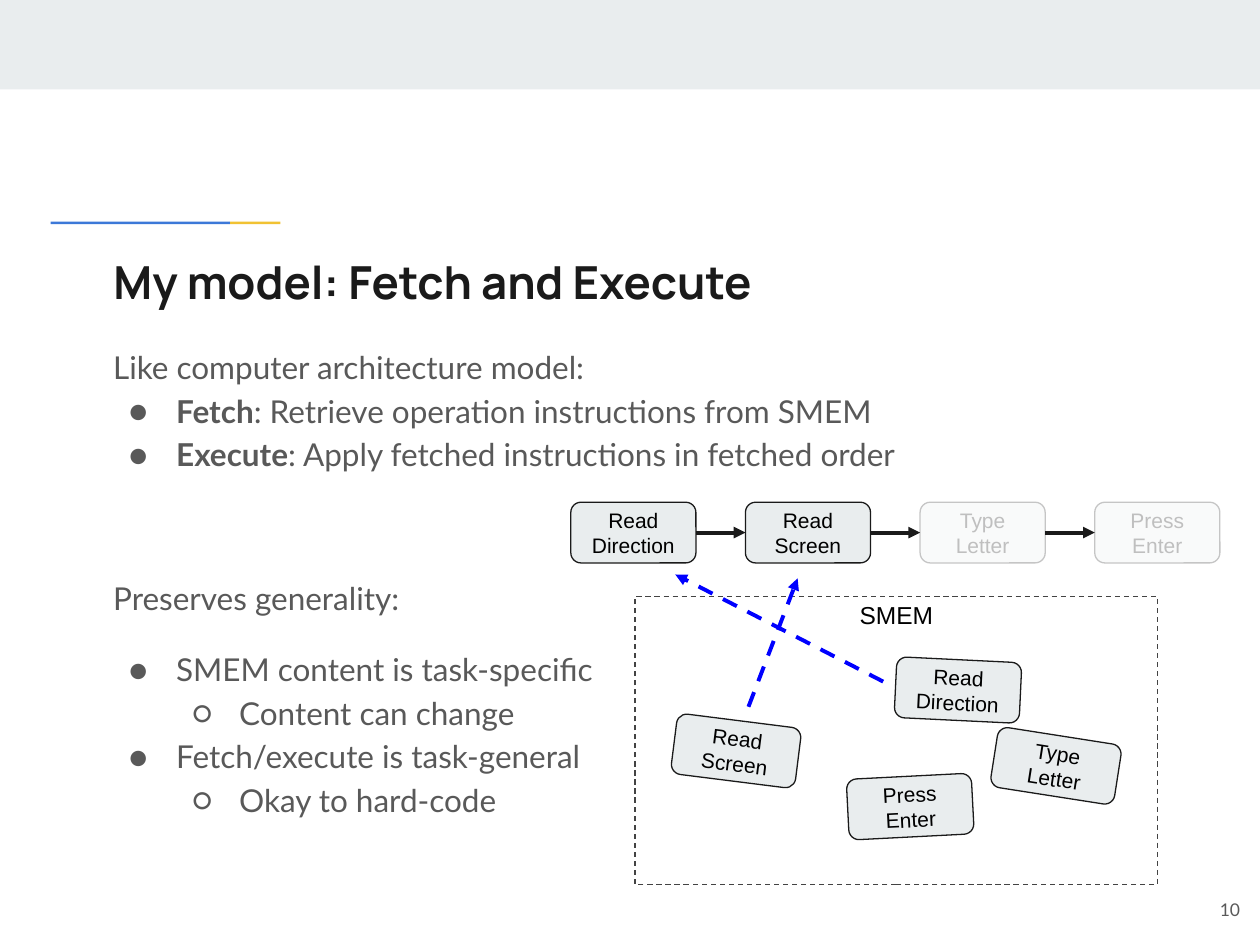
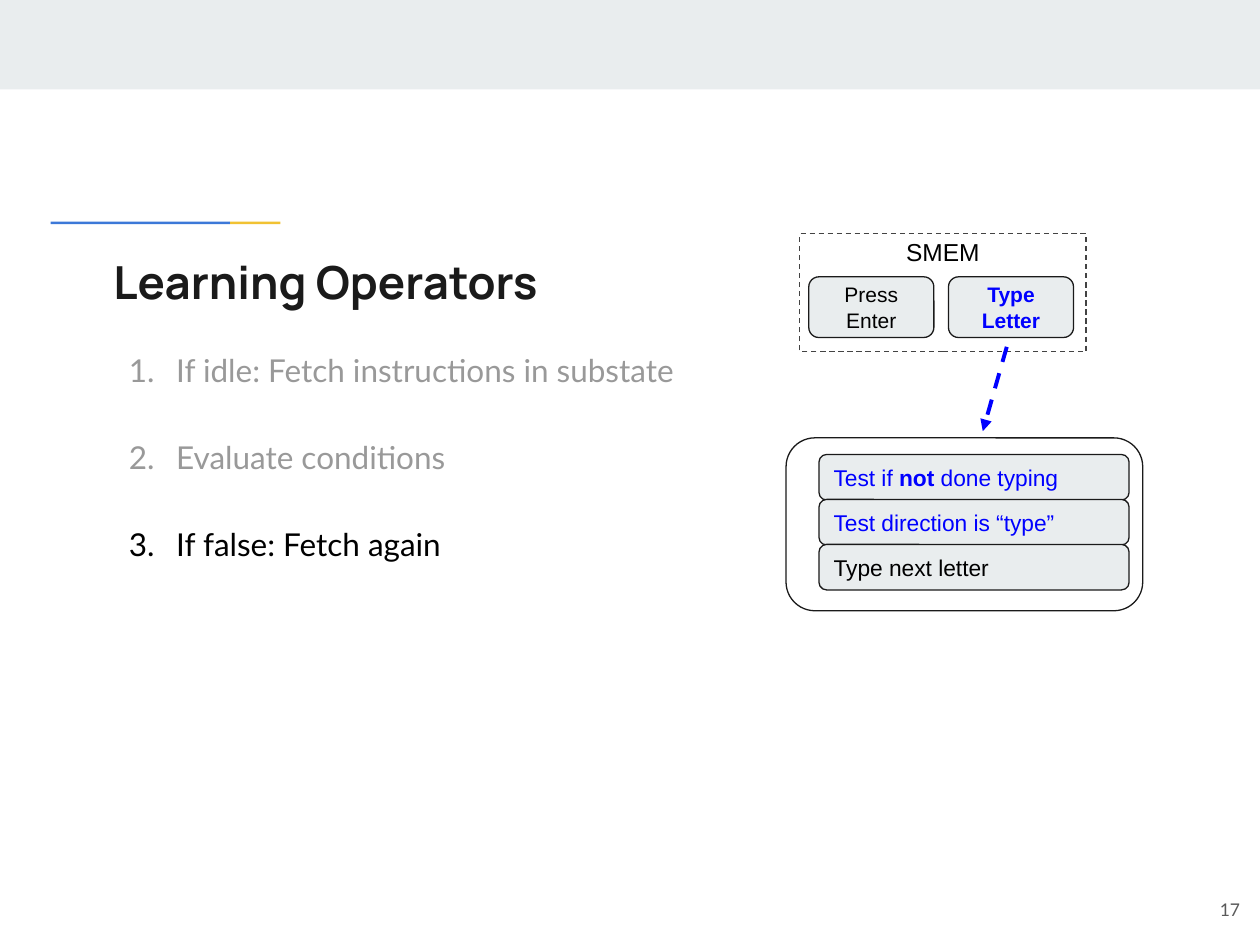
"""Build two slides on fetching and executing instructions from semantic memory."""
import pptx
import pptx.dml.color
import pptx.enum.dml
import pptx.enum.shapes
import pptx.enum.text
import pptx.oxml
import pptx.oxml.ns
import pptx.util

Pt = pptx.util.Pt
SHAPES = pptx.enum.shapes.MSO_SHAPE
ALIGN = pptx.enum.text.PP_ALIGN
ANCHOR = pptx.enum.text.MSO_ANCHOR
DASH = pptx.enum.dml.MSO_LINE.DASH

COLORS = {
    "band": "E9EDEE", "blue": "3C78D8", "yellow": "F1C232", "ink": "1A1A1A",
    "body": "595959", "faded": "999999", "frame": "434343", "active": "0000FF",
    "black": "000000", "white": "FFFFFF",
}
CARD_SIZE = (71.5, 34.7)
TITLE_ONLY = 5


def set_values(target, values):
    for name, value in values.items():
        setattr(target, name, value)


def rgb(color):
    return pptx.dml.color.RGBColor.from_string(COLORS[color])


def add_xml(parent, tag, **attributes):
    child = pptx.oxml.parse_xml(f"<a:{tag} {pptx.oxml.ns.nsdecls('a')}/>")
    for name, value in attributes.items():
        child.set(name, str(value))
    parent.append(child)
    return child


def add_bullet(para, bullet, color, level):
    properties = para._p.get_or_add_pPr()
    properties.set("marL", str(Pt(36 * (level + 1))))
    properties.set("indent", str(Pt(-27)))
    add_xml(add_xml(properties, "buClr"), "srgbClr", val=COLORS[color])
    if bullet == "number":
        add_xml(properties, "buFont", typeface="Lato")
        add_xml(properties, "buAutoNum", type="arabicPeriod")
    else:
        add_xml(properties, "buFont", typeface="Lato")
        add_xml(properties, "buChar", char=bullet)


def add_spans(para, spans, size, font, color, bold=False):
    """Add text to a paragraph; every second span is set in the opposite weight."""
    for index, text in enumerate(spans):
        span = para.add_run()
        span.text = text
        heavy = bold != (index % 2 == 1)
        set_values(span.font, {"size": Pt(size), "name": font, "bold": heavy})
        span.font.color.rgb = rgb(color)


def prepare_frame(shape, anchor):
    frame = shape.text_frame
    set_values(frame, {
        "word_wrap": True, "auto_size": pptx.enum.text.MSO_AUTO_SIZE.NONE,
        "vertical_anchor": anchor,
        "margin_left": Pt(7.2), "margin_right": Pt(7.2),
        "margin_top": Pt(7.2), "margin_bottom": Pt(7.2),
    })
    return frame


def write_line(shape, spans, size, font, color, align=ALIGN.LEFT,
               anchor=ANCHOR.MIDDLE, bold=False):
    para = prepare_frame(shape, anchor).paragraphs[0]
    para.alignment = align
    add_spans(para, spans, size, font, color, bold)


def add_text(page, place, *line, **options):
    box = page.shapes.add_textbox(*map(Pt, place))
    write_line(box, *line, **options)


def add_body(page, place, items):
    """Add body text from (spans, bullet, level, space before, colour) items."""
    box = page.shapes.add_textbox(*map(Pt, place))
    frame = prepare_frame(box, ANCHOR.TOP)
    for index, (spans, bullet, level, space, color) in enumerate(items):
        para = frame.add_paragraph() if index else frame.paragraphs[0]
        set_values(para, {"level": level, "line_spacing": 1.15, "space_before": Pt(space)})
        if bullet:
            add_bullet(para, bullet, color, level)
        add_spans(para, spans, 18, "Lato", color)


def add_box(page, kind, place, fill=None, line=None, dash=None):
    box = page.shapes.add_shape(kind, *map(Pt, place))
    box.shadow.inherit = False
    if fill:
        box.fill.solid()
        box.fill.fore_color.rgb = rgb(fill)
    else:
        box.fill.background()
    if line:
        box.line.color.rgb = rgb(line)
        set_values(box.line, {"width": Pt(0.75), "dash_style": dash})
    else:
        box.line.fill.background()
    return box


def add_card(page, left, top, text, rotation=0, color="black", bold=False):
    card = add_box(page, SHAPES.ROUNDED_RECTANGLE, (left, top, *CARD_SIZE), "band", "ink")
    card.rotation = rotation
    write_line(card, [text], 12, "Arial", color, align=ALIGN.CENTER, bold=bold)
    return card


def add_arrow(page, start, end, color, dash=None):
    arrow = page.shapes.add_connector(
        pptx.enum.shapes.MSO_CONNECTOR.STRAIGHT, *map(Pt, (*start, *end)))
    arrow.line.color.rgb = rgb(color)
    set_values(arrow.line, {"width": Pt(2.25), "dash_style": dash})
    properties = arrow.element.spPr
    add_xml(properties.find(pptx.oxml.ns.qn("a:ln")), "tailEnd", type="triangle")
    add_xml(properties, "effectLst")
    return arrow


def join_cards(page, first, second):
    arrow = add_arrow(page, (0, 0), (0, 0), "ink")
    arrow.begin_connect(first, 3)
    arrow.end_connect(second, 1)


def add_memory(page, left, top, width, height):
    add_box(page, SHAPES.RECTANGLE, (left, top, width, height), "white", "frame", DASH)
    add_text(page, (left + width / 2 - 34.2, top - 5.4, 68.4, 25.2),
             ["SMEM"], 14, "Arial", "black", align=ALIGN.CENTER, anchor=ANCHOR.TOP)


def add_veil(page, place):
    veil = add_box(page, SHAPES.RECTANGLE, place, "white")
    color = veil.element.spPr.find(".//" + pptx.oxml.ns.qn("a:srgbClr"))
    add_xml(color, "alpha", val=75000)


def add_page(deck, title, title_width, number):
    page = deck.slides.add_slide(deck.slide_layouts[TITLE_ONLY])
    add_box(page, SHAPES.RECTANGLE, (0, 0, 720, 51.2), "band")
    add_box(page, SHAPES.RECTANGLE, (131.4, 126.6, 28.8, 1.5), "yellow")
    add_box(page, SHAPES.RECTANGLE, (29, 126.6, 102.4, 1.5), "blue")
    heading = page.shapes.title
    set_values(heading, {"left": Pt(57.6), "top": Pt(138.2),
                         "width": Pt(title_width), "height": Pt(56.2)})
    write_line(heading, [title], 26, "Manrope", "ink", anchor=ANCHOR.TOP, bold=True)
    add_text(page, (672.5, 499, 43.2, 41), [str(number)], 10, "Lato", "body",
             align=ALIGN.RIGHT)
    return page


def add_model_page(deck):
    page = add_page(deck, "My model: Fetch and Execute", 422.6, 10)
    add_body(page, (57.6, 188.6, 573, 91.4), [
        (["Like computer architecture model:"], None, 0, 0, "body"),
        (["", "Fetch", ": Retrieve operation instructions from SMEM"], "●", 0, 0, "body"),
        (["", "Execute", ": Apply fetched instructions in fetched order"], "●", 0, 0, "body"),
    ])

    def add_step(index, text):
        return add_card(page, 326.2 + 99.8 * index, 287, text)

    pending = [add_step(2, "Type Letter"), add_step(3, "Press Enter")]
    add_memory(page, 362.9, 340.8, 298.6, 164.6)
    for left, top, text, rotation in [
        (511.7, 377, "Read Direction", 2.8), (384.9, 411.8, "Read Screen", 7.2),
        (567.7, 420.3, "Type Letter", 8.9), (484.4, 443.6, "Press Enter", -2.9),
    ]:
        add_card(page, left, top, text, rotation)
    add_veil(page, (303.8, 280.8, 404.6, 48.2))
    steps = [add_step(0, "Read Direction"), add_step(1, "Read Screen"), *pending]
    add_arrow(page, (504.7, 389.5), (385.9, 328.3), "active", DASH)
    add_arrow(page, (427.7, 403.9), (455.8, 330.5), "active", DASH)
    for first, second in zip(steps, steps[1:]):
        join_cards(page, first, second)
    add_body(page, (57.6, 320.4, 295.2, 177.8), [
        (["Preserves generality:"], None, 0, 0, "body"),
        (["SMEM content is task-specific"], "●", 0, 16, "body"),
        (["Content can change"], "○", 1, 0, "body"),
        (["Fetch/execute is task-general"], "●", 0, 0, "body"),
        (["Okay to hard-code"], "○", 1, 0, "body"),
    ])


def add_operators_page(deck):
    page = add_page(deck, "Learning Operators", 350.6, 17)
    add_memory(page, 457, 133.6, 163.6, 67.4)
    add_card(page, 462.2, 158.2, "Press Enter")
    add_body(page, (57.6, 190.1, 337.7, 190), [
        (["If idle: Fetch instructions in substate"], "number", 0, 0, "faded"),
        (["Evaluate conditions"], "number", 0, 24.8, "faded"),
        (["If false: Fetch again"], "number", 0, 24.8, "black"),
    ])
    add_arrow(page, (575.3, 198.2), (561.6, 246.4), "active", DASH)
    add_card(page, 542, 158.2, "Type Letter", color="active", bold=True)
    add_box(page, SHAPES.ROUNDED_RECTANGLE, (449.2, 250.2, 203.8, 98.8), line="ink")
    for index, (spans, color) in enumerate([
        (["Test if ", "not ", "done typing"], "active"),
        (["Test direction is “type”"], "active"),
        (["Type next letter"], "black"),
    ]):
        row = add_box(page, SHAPES.ROUNDED_RECTANGLE,
                      (468, 259.7 + 25.7 * index, 177.2, 26), "band", "ink")
        write_line(row, spans, 13, "Arial", color)


def main():
    deck = pptx.Presentation()
    set_values(deck, {"slide_width": Pt(720), "slide_height": Pt(540)})
    add_model_page(deck)
    add_operators_page(deck)
    deck.save("out.pptx")


if __name__ == "__main__":
    main()
